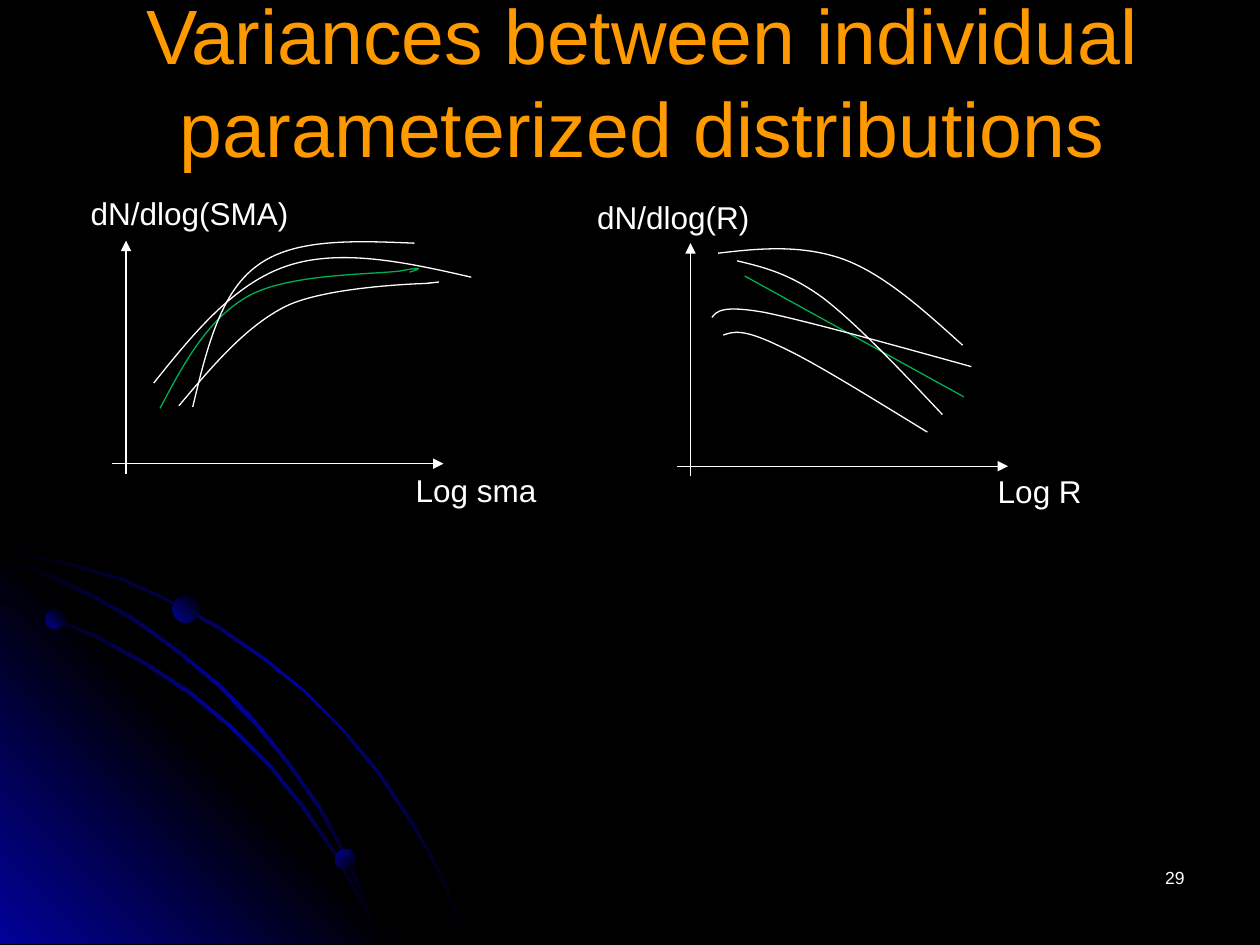
from dataclasses import dataclass

from lxml.etree import SubElement
from pptx import Presentation
from pptx.dml.color import RGBColor
from pptx.enum.shapes import MSO_CONNECTOR, MSO_SHAPE
from pptx.enum.text import MSO_ANCHOR, MSO_AUTO_SIZE, PP_ALIGN
from pptx.oxml.ns import qn
from pptx.util import Inches, Pt


@dataclass(frozen=True)
class Theme:
    font: str = "Arial"
    back: str = "000000"
    ink: str = "FFFFFF"
    head: str = "FF9900"
    mean: str = "00B050"
    glow: str = "010199"
    title: int = 44
    label: int = 18
    page: int = 10
    line: float = 0.75


THEME = Theme()
FADE = ((0, THEME.back), (50, THEME.glow), (100, THEME.back))
CORNER = ((0, THEME.glow), (50, THEME.back), (100, THEME.glow))
BALL = ((0, THEME.glow), (100, THEME.back))

ARCS = [
    [(0.57, 4.47), (0.28, 4.41), (0, 4.35), (0, 4.37), (0.28, 4.43),
     (0.56, 4.49), (0.97, 4.61), (1.35, 4.78), (1.73, 4.99), (2.08, 5.23),
     (2.41, 5.49), (2.71, 5.79), (2.98, 6.12), (3.23, 6.49), (3.37, 6.72),
     (3.5, 6.97), (3.6, 7.22), (3.7, 7.48), (3.72, 7.48), (3.62, 7.22),
     (3.52, 6.97), (3.39, 6.72), (3.25, 6.48), (3, 6.11), (2.72, 5.78),
     (2.42, 5.48), (2.09, 5.21), (1.74, 4.97), (1.36, 4.77), (0.98, 4.59)],
    [(2.85, 7.14), (2.94, 7.32), (3.01, 7.49), (3.03, 7.49), (2.95, 7.3),
     (2.86, 7.12), (2.66, 6.76), (2.42, 6.4), (2.14, 6.06), (1.84, 5.76),
     (1.52, 5.49), (1.17, 5.26), (0.79, 5.05), (0.41, 4.89), (0, 4.75),
     (0, 4.77), (0.39, 4.9), (0.77, 5.07), (1.15, 5.28), (1.5, 5.51),
     (1.83, 5.78), (2.13, 6.08), (2.4, 6.42), (2.65, 6.78)],
    [(0, 4.42), (0, 4.44), (0.36, 4.57), (0.74, 4.75), (1.09, 4.95),
     (1.42, 5.19), (1.73, 5.45), (2.02, 5.75), (2.27, 6.05), (2.52, 6.41),
     (2.67, 6.67), (2.8, 6.95), (2.92, 7.22), (3.01, 7.49), (3.03, 7.49),
     (2.93, 7.21), (2.82, 6.93), (2.68, 6.65), (2.54, 6.39), (2.29, 6.04),
     (2.04, 5.73), (1.75, 5.43), (1.43, 5.17), (1.11, 4.93), (0.76, 4.73),
     (0.39, 4.55)],
]
WEDGE = [(3.22, 7.49), (0, 7.49), (0, 4.27)]
BALLS = [(0.36, 4.84, 0.15, 315), (2.66, 6.74, 0.16, 45), (1.37, 4.73, 0.21, 315)]

# Each curve is a start point, then two handles and an end point per segment.
SMA = [
    (THEME.mean, [(1.27, 3.24), (1.46, 2.88), (1.65, 2.53), (1.97, 2.35),
                  (2.29, 2.17), (2.96, 2.18), (3.18, 2.15),
                  (3.39, 2.11), (3.32, 2.14), (3.25, 2.16)]),
    (THEME.ink, [(1.42, 3.22), (1.69, 2.9), (1.95, 2.59), (2.27, 2.43),
                 (2.6, 2.27), (3.37, 2.25), (3.37, 2.25),
                 (3.56, 2.23), (3.47, 2.24), (3.38, 2.25)]),
    (THEME.ink, [(1.22, 3.04), (1.54, 2.64), (1.86, 2.25), (2.28, 2.11),
                 (2.7, 1.97), (3.22, 2.08), (3.74, 2.2)]),
    (THEME.ink, [(1.53, 3.23), (1.64, 2.77), (1.75, 2.32), (2.04, 2.11),
                 (2.33, 1.89), (2.81, 1.91), (3.29, 1.93)]),
]
RADIUS = [
    (THEME.mean, [(7.65, 3.15), (5.91, 2.19)]),
    (THEME.ink, [(7.48, 3.29), (7.15, 2.94), (6.81, 2.58), (6.54, 2.37),
                 (6.27, 2.17), (6.06, 2.12), (5.85, 2.07)]),
    (THEME.ink, [(7.71, 2.91), (7.06, 2.73), (6.41, 2.55), (6.07, 2.48),
                 (5.73, 2.42), (5.69, 2.47), (5.65, 2.52)]),
    (THEME.ink, [(7.36, 3.43), (6.9, 3.15), (6.44, 2.86), (6.17, 2.74),
                 (5.9, 2.61), (5.82, 2.63), (5.74, 2.66)]),
    (THEME.ink, [(7.64, 2.74), (7.33, 2.46), (7.02, 2.18), (6.7, 2.06),
                 (6.37, 1.94), (6.03, 1.97), (5.7, 2.01)]),
]


def color(code):
    return RGBColor.from_string(code)


def write(frame, text, size, ink, align=PP_ALIGN.LEFT):
    frame.text = text
    for para in frame.paragraphs:
        para.alignment = align
        for run in para.runs:
            run.font.name = THEME.font
            run.font.size = Pt(size)
            run.font.color.rgb = color(ink)


def add_label(slide, text, x, y, width, height=0.4, size=THEME.label,
              align=PP_ALIGN.LEFT, wrap=False):
    box = slide.shapes.add_textbox(*map(Inches, (x, y, width, height)))
    box.text_frame.word_wrap = wrap
    write(box.text_frame, text, size, THEME.ink, align)


def add_outline(shapes, points, close):
    pts = [(Inches(x), Inches(y)) for x, y in points]
    form = shapes.build_freeform(*pts[0])
    form.add_line_segments(pts[1:], close=close)
    shape = form.convert_to_shape()
    shape.shadow.inherit = False
    return shape


def shade(shape, stops, angle):
    """Fill with a linear gradient, its angle clockwise in degrees."""
    shape.shadow.inherit = False
    shape.line.fill.background()
    shape.fill.gradient()
    grad = shape.element.spPr.find(qn("a:gradFill"))
    for child in list(grad):
        grad.remove(child)
    items = SubElement(grad, qn("a:gsLst"))
    for place, code in stops:
        stop = SubElement(items, qn("a:gs"), pos=str(place * 1000))
        SubElement(stop, qn("a:srgbClr"), val=code)
    SubElement(grad, qn("a:lin"), ang=str(angle * 60000), scaled="0")


def bezier(ends, t):
    weights = ((1 - t) ** 3, 3 * t * (1 - t) ** 2, 3 * t * t * (1 - t), t ** 3)
    return tuple(sum(w * p[i] for w, p in zip(weights, ends)) for i in (0, 1))


def add_curve(slide, ink, points):
    """Size the shape by sampled points, then make its segments cubic."""
    parts = [points[i:i + 4] for i in range(0, len(points) - 3, 3)]
    dots = [bezier(part, n / 24) for part in parts for n in range(1, 25)]
    shape = add_outline(slide.shapes, points[:1] + (dots or points[1:]), False)
    shape.fill.background()
    shape.line.color.rgb = color(ink)
    shape.line.width = Pt(THEME.line)
    if not parts:
        return
    track = next(shape.element.iter(qn("a:path")))
    for step in track.findall(qn("a:lnTo")):
        track.remove(step)
    for part in parts:
        cubic = SubElement(track, qn("a:cubicBezTo"))
        for x, y in part[1:]:
            SubElement(cubic, qn("a:pt"), x=str(Inches(x) - shape.left),
                       y=str(Inches(y) - shape.top))


def add_arrow(slide, *ends):
    arrow = slide.shapes.add_connector(MSO_CONNECTOR.STRAIGHT, *map(Inches, ends))
    arrow.line.color.rgb = color(THEME.ink)
    arrow.line.width = Pt(THEME.line)
    SubElement(arrow.line._get_or_add_ln(), qn("a:tailEnd"), type="triangle")
    SubElement(arrow.element.spPr, qn("a:effectLst"))


def add_plot(slide, x, y, curves):
    """Draw both axes, crossing at x and y, and the curves."""
    add_arrow(slide, x - 0.11, y, x + 2.52, y)
    add_arrow(slide, x, y + 0.08, x, y - 1.77)
    for ink, points in curves:
        add_curve(slide, ink, points)


def add_decor(slide):
    group = slide.shapes.add_group_shape().shapes
    shade(add_outline(group, WEDGE, True), CORNER, 315)
    for arc in ARCS:
        shade(add_outline(group, arc, True), FADE, 45)
    for x, y, size, angle in BALLS:
        ball = group.add_shape(MSO_SHAPE.OVAL, *map(Inches, (x, y, size, size)))
        shade(ball, BALL, angle)


def set_title(slide, text):
    title = slide.shapes.title
    title.left, title.top, title.width, title.height = map(
        Inches, (0.89, 0.25, 8.42, 0.77))
    frame = title.text_frame
    frame.auto_size = MSO_AUTO_SIZE.NONE
    frame.vertical_anchor = MSO_ANCHOR.MIDDLE
    write(frame, text, THEME.title, THEME.head, PP_ALIGN.CENTER)


def main():
    deck = Presentation()
    deck.slide_width, deck.slide_height = Inches(10), Inches(7.5)
    slide = deck.slides.add_slide(deck.slide_layouts[5])
    slide.background.fill.solid()
    slide.background.fill.fore_color.rgb = color(THEME.back)
    add_decor(slide)
    set_title(slide, "Variances between individual parameterized distributions")
    add_plot(slide, 1, 3.68, SMA)
    add_label(slide, "dN/dlog(SMA)", 0.62, 1.49, 1.79)
    add_label(slide, "Log sma", 3.2, 3.69, 1.17)
    add_plot(slide, 5.48, 3.7, RADIUS)
    add_label(slide, "dN/dlog(R)", 4.64, 1.52, 1.42)
    add_label(slide, "Log R", 7.82, 3.7, 0.88)
    add_label(slide, "29", 7.17, 6.83, 2.33, 0.5, THEME.page, PP_ALIGN.RIGHT, True)
    deck.save("out.pptx")


if __name__ == "__main__":
    main()
